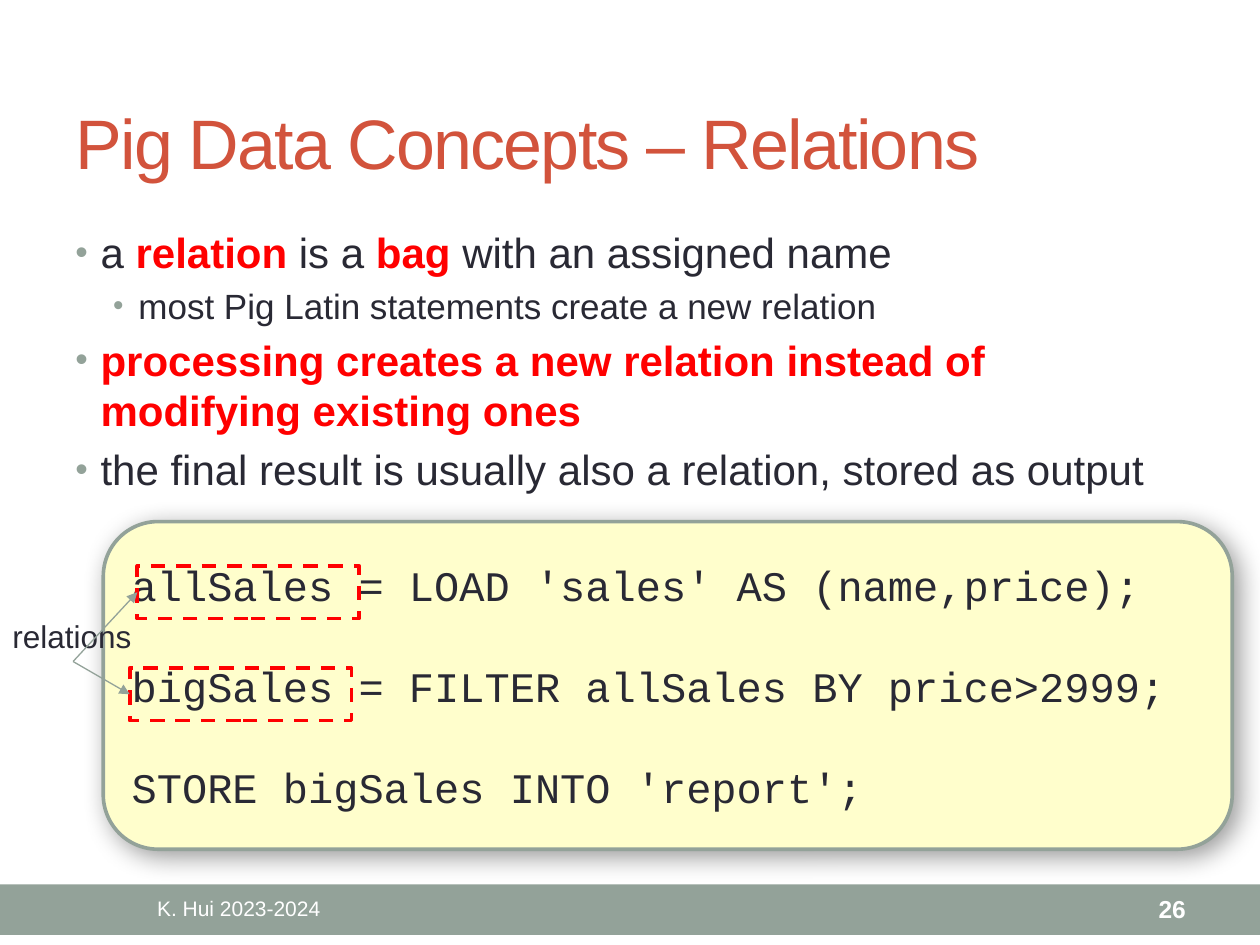
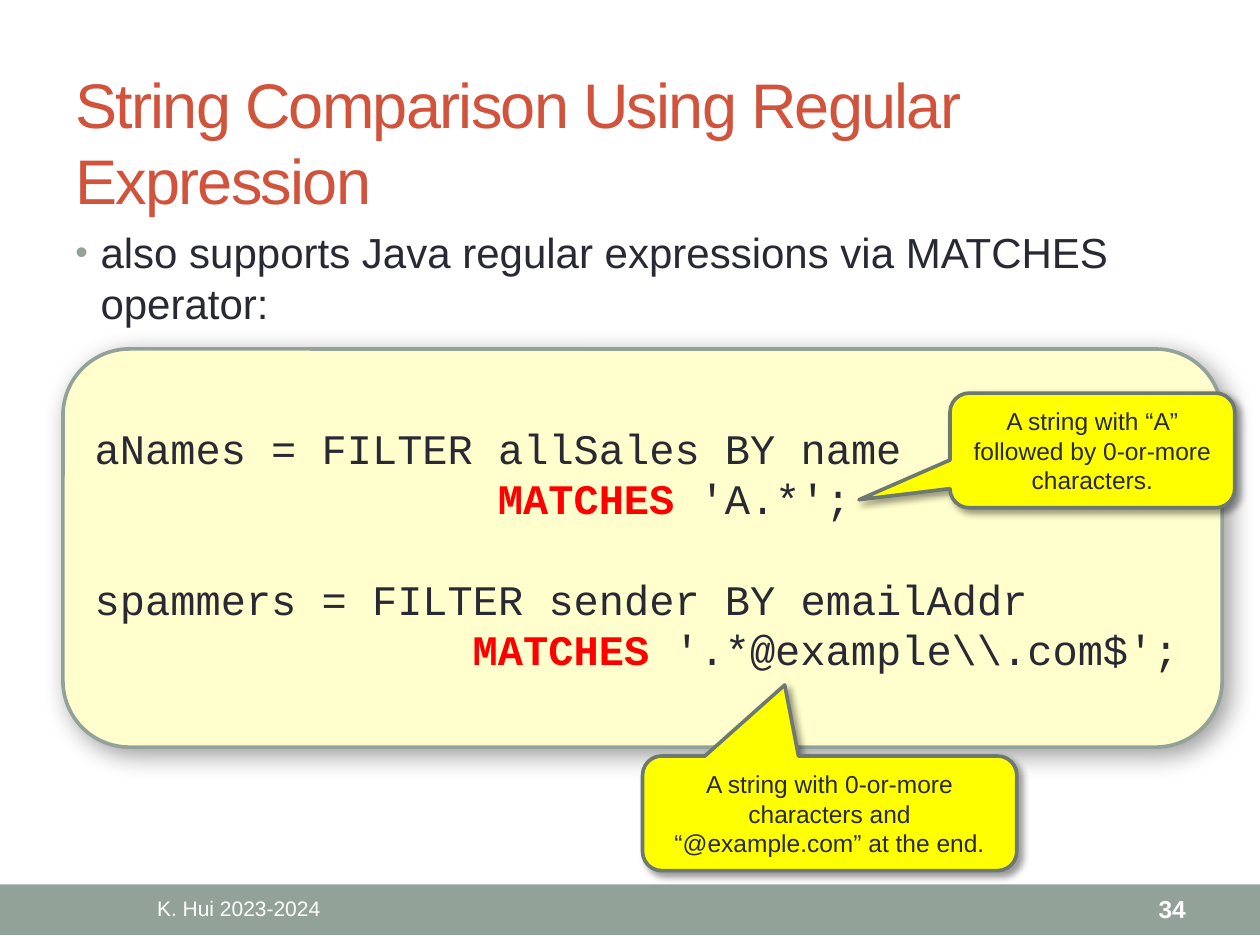
from lxml import etree
from pptx import Presentation
from pptx.dml.color import RGBColor
from pptx.enum.dml import MSO_LINE
from pptx.enum.shapes import MSO_CONNECTOR, MSO_SHAPE
from pptx.enum.text import MSO_ANCHOR, PP_ALIGN
from pptx.oxml.ns import qn
from pptx.util import Inches, Pt

COLORS = {
    "sage": "93A299",
    "dark_sage": "6D7871",
    "title": "D2533C",
    "text": "292934",
    "red": "FF0000",
    "cream": "FFFECC",
    "yellow": "FFFF00",
    "white": "FFFFFF",
    "black": "000000",
}
SANS, MONO = "Arial", "Courier New"
CODE_SIZE = 24
CODE_LINE = CODE_SIZE * 1.2
CODE_CHARACTER = 0.2
BORDER = 2.08
DASH = MSO_LINE.DASH
LEFT, CENTER, RIGHT = PP_ALIGN.LEFT, PP_ALIGN.CENTER, PP_ALIGN.RIGHT
TOP, MIDDLE = MSO_ANCHOR.TOP, MSO_ANCHOR.MIDDLE


def color(name):
    return RGBColor.from_string(COLORS[name])


def add_node(parent, tag, **attributes):
    node = etree.SubElement(parent, qn(tag))
    for key, value in attributes.items():
        node.set(key, str(value))
    return node


def add_span(para, text, size, font=SANS, tint="text", bold=False):
    span = para.add_run()
    span.text = text
    span.font.name = font
    span.font.size = Pt(size)
    span.font.bold = bold
    span.font.color.rgb = color(tint)
    return span


def add_spans(para, spans, size, font=SANS):
    for text, highlighted in spans:
        add_span(para, text, size, font, "red" if highlighted else "text", highlighted)


def paragraphs(frame, items):
    for index, item in enumerate(items):
        yield (frame.add_paragraph() if index else frame.paragraphs[0]), item


def add_text_box(page, place, anchor=TOP, wrap=True):
    frame = page.shapes.add_textbox(*map(Inches, place)).text_frame
    frame.word_wrap = wrap
    frame.vertical_anchor = anchor
    return frame


def add_label(page, place, text, size, align=LEFT, anchor=MIDDLE, wrap=True, **style):
    para = add_text_box(page, place, anchor, wrap).paragraphs[0]
    para.alignment = align
    return add_span(para, text, size, **style)


def add_box(page, kind, place, fill=None, line=None):
    box = page.shapes.add_shape(kind, *map(Inches, place))
    box.shadow.inherit = False
    if fill:
        box.fill.solid()
        box.fill.fore_color.rgb = color(fill)
    else:
        box.fill.background()
    if line:
        box.line.color.rgb = color(line)
        box.line.width = Pt(BORDER)
    else:
        box.line.fill.background()
    box.text_frame.word_wrap = True
    box.text_frame.vertical_anchor = MIDDLE
    return box


def add_shadow(box, blur, distance):
    effects = box._element.spPr.find(qn("a:effectLst"))
    shadow = add_node(effects, "a:outerShdw", blurRad=Pt(blur), dist=Pt(distance),
                      dir=45 * 60000, algn="tl", rotWithShape=0)
    tint = add_node(shadow, "a:srgbClr", val=COLORS["black"])
    add_node(tint, "a:alpha", val=40000)


def add_bullets(page, height, items):
    frame = add_text_box(page, (0.5, 1.75, 9, height))
    for para, (level, spans) in paragraphs(frame, items):
        para.level = level
        properties = para._p.get_or_add_pPr()
        properties.set("marL", str(Inches(0.2 + 0.3 * level)))
        properties.set("indent", str(Inches(-0.2)))
        add_node(add_node(properties, "a:spcBef"), "a:spcPct", val=20000)
        add_node(add_node(properties, "a:buClr"), "a:srgbClr", val=COLORS["sage"])
        add_node(properties, "a:buSzPct", val=85000)
        add_node(properties, "a:buFont", typeface=SANS)
        add_node(properties, "a:buChar", char="•")
        add_spans(para, spans, 24 - 4 * level)


def add_code(page, place, lines):
    box = add_box(page, MSO_SHAPE.ROUNDED_RECTANGLE, place, "cream", "sage")
    add_shadow(box, 15, 5)
    for para, (gap_lines, columns, spans) in paragraphs(box.text_frame, lines):
        para.alignment = LEFT
        para.space_before = Pt(gap_lines * CODE_LINE)
        para._p.get_or_add_pPr().set("marL", str(Inches(columns * CODE_CHARACTER)))
        add_spans(para, spans, CODE_SIZE, MONO)


def add_callout(page, place, pointer, text):
    box = add_box(page, MSO_SHAPE.ROUNDED_RECTANGULAR_CALLOUT, place, "yellow", "dark_sage")
    for index, value in enumerate((*pointer, 0.167)):
        box.adjustments[index] = value
    add_shadow(box, 4, 3)
    para = box.text_frame.paragraphs[0]
    para.alignment = CENTER
    add_span(para, text, 14)


def add_arrow(page, start, end):
    arrow = page.shapes.add_connector(MSO_CONNECTOR.STRAIGHT, *map(Inches, (*start, *end)))
    arrow.line.color.rgb = color("sage")
    arrow.line.width = Pt(0.75)
    add_node(arrow.line._get_or_add_ln(), "a:tailEnd", type="triangle")
    add_node(arrow._element.spPr, "a:effectLst")


def mark_relations(page, corners):
    source = (0.58, 5.25)
    width, height = 1.76, 0.42
    add_label(page, (0, 4.85, 1.16, 0.4), "relations", 18, anchor=TOP, wrap=False)
    for left, top in corners:
        frame = add_box(page, MSO_SHAPE.RECTANGLE, (left, top, width, height), line="red")
        frame.line.dash_style = DASH
        add_arrow(page, source, (left, top + height / 2))


def add_page(deck, title, title_size, number):
    page = deck.slides.add_slide(deck.slide_layouts[6])
    add_box(page, MSO_SHAPE.RECTANGLE, (0, 7.02, 10, 0.4), "sage")
    heading = add_label(page, (0.5, 0.58, 9, 1.08), title, title_size, tint="title")
    heading._r.get_or_add_rPr().set("spc", "-100")
    add_label(page, (0.5, 7.03, 2.79, 0.36), "K. Hui 2023-2024", 12, CENTER, tint="white")
    add_label(page, (8.34, 7.03, 1.17, 0.36), number, 14, RIGHT, tint="white", bold=True)
    return page


def build_relations(deck):
    page = add_page(deck, "Pig Data Concepts – Relations", 40, "26")
    add_code(page, (0.82, 4.14, 8.96, 2.6), [
        (0, 0, [("allSales = LOAD 'sales' AS (name,price);", False)]),
        (1, 0, [("bigSales = FILTER allSales BY price>2999;", False)]),
        (1, 0, [("STORE bigSales INTO 'report';", False)]),
    ])
    add_bullets(page, 2.96, [
        (0, [("a ", False), ("relation", True), (" is a ", False), ("bag", True),
             (" with an assigned name", False)]),
        (1, [("most Pig Latin statements create a new relation", False)]),
        (0, [("processing creates a new relation instead of modifying existing ones", True)]),
        (0, [("the final result is usually also a relation, stored as output", False)]),
    ])
    mark_relations(page, [(1.09, 4.49), (1.03, 5.3)])


def build_matching(deck):
    page = add_page(deck, "String Comparison Using Regular Expression", 36, "34")
    add_bullets(page, 1.37, [
        (0, [("also supports Java regular expressions via MATCHES operator:", False)]),
    ])
    add_code(page, (0.5, 2.77, 9.2, 3.16), [
        (0, 0, [("aNames = FILTER allSales BY name", False)]),
        (0, 16, [("MATCHES", True), (" 'A.*';", False)]),
        (1, 0, [("spammers = FILTER sender BY emailAddr", False)]),
        (0, 15, [("MATCHES", True), (r" '.*@example\\.com$';", False)]),
    ])
    add_callout(page, (7.54, 3.12, 2.26, 0.91), (-0.82, 0.43),
                "A string with “A” followed by 0-or-more characters.")
    add_callout(page, (5.1, 6, 2.97, 0.91), (-0.12, -1.12),
                "A string with 0-or-more characters and “@example.com” at the end.")


def main():
    deck = Presentation()
    deck.slide_width, deck.slide_height = Inches(10), Inches(7.5)
    build_relations(deck)
    build_matching(deck)
    deck.save("out.pptx")


if __name__ == "__main__":
    main()
